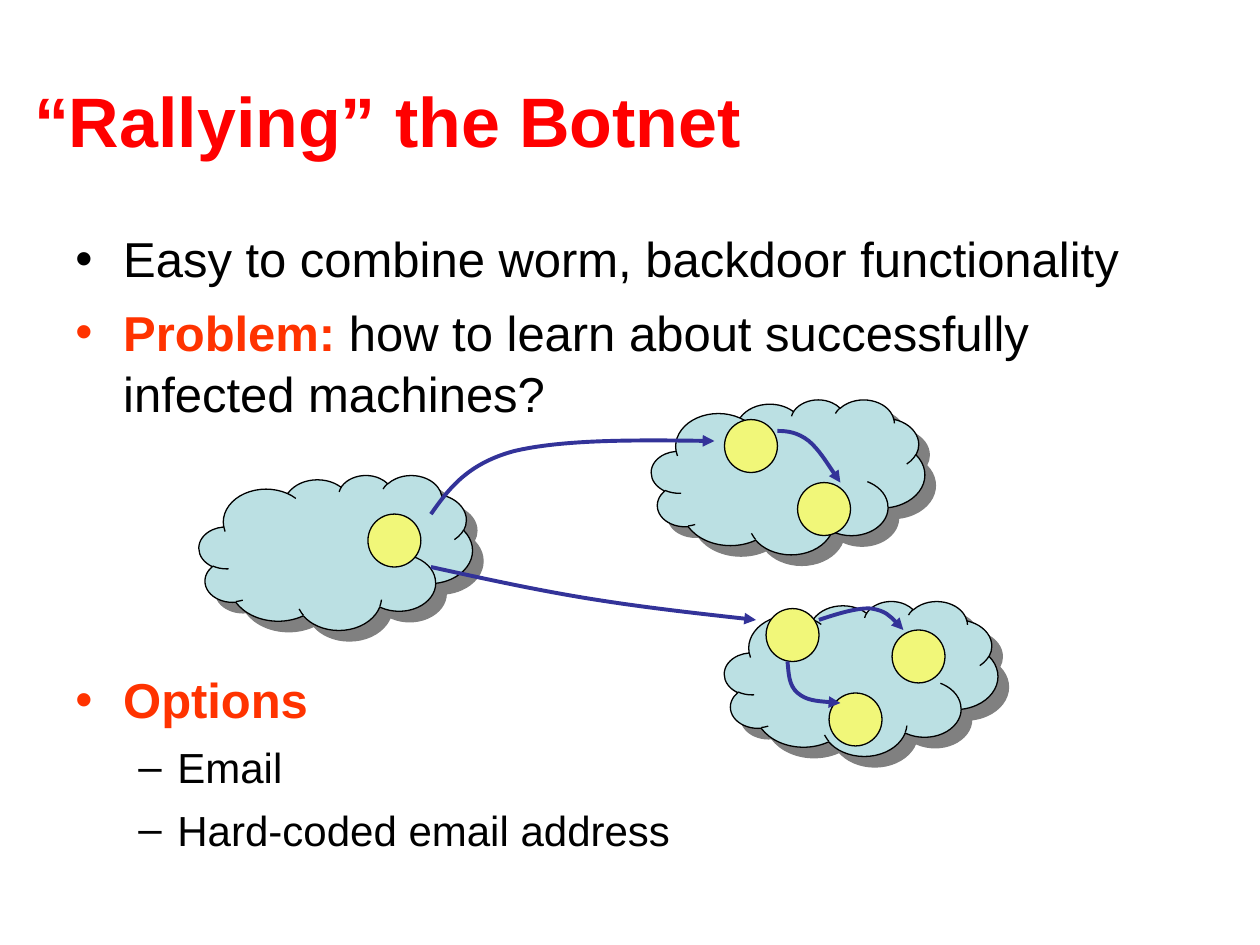
from lxml.etree import SubElement
from pptx import Presentation
from pptx.dml.color import RGBColor
from pptx.enum.shapes import MSO_SHAPE
from pptx.enum.text import MSO_ANCHOR, PP_ALIGN
from pptx.oxml.ns import qn
from pptx.util import Inches, Pt

FONT = "Arial"
BLACK, RED, ORANGE = "000000", "FF0000", "FF3300"
CLOUD_BLUE, BOT_YELLOW, ARROW_BLUE, SHADOW_GRAY = "BBE0E3", "F1F779", "333399", "808080"

TITLE = "“Rallying” the Botnet"
# top of each text block, then its paragraphs: (level, [(text, colour, bold)])
TEXT_BLOCKS = [
    (1.75, [
        (0, [("Easy to combine worm, backdoor functionality", BLACK, False)]),
        (0, [("Problem:", ORANGE, True),
             (" how to learn about successfully infected machines?", BLACK, False)]),
    ]),
    (5.25, [
        (0, [("Options", ORANGE, True)]),
        (1, [("Email", BLACK, False)]),
        (1, [("Hard-coded email address", BLACK, False)]),
    ]),
]
# per level: bullet, size, left margin, hanging indent, space before
LEVELS = [("•", 28, 0.38, 0.38, 7), ("–", 24, 0.81, 0.31, 6)]

CLOUD_SIZE = (2.17, 1.23)
CLOUDS = [(1.58, 3.77), (5.17, 3.17), (5.75, 4.77)]
BOT_SIZE = (0.42, 0.42)
BOTS = [(2.92, 4.08), (5.75, 3.33), (6.33, 3.83), (6.08, 4.83), (6.58, 5.5), (7.08, 5)]
# start point, then three Bezier points for each curve segment
ARROWS = [
    [(3.42, 4.08), (3.56, 3.88), (3.71, 3.68), (4.08, 3.58), (4.46, 3.49), (5.06, 3.49), (5.67, 3.5)],
    [(6.17, 3.42), (6.25, 3.42), (6.33, 3.43), (6.42, 3.5), (6.5, 3.57), (6.58, 3.7), (6.67, 3.83)],
    [(3.42, 4.5), (3.83, 4.59), (4.24, 4.68), (4.67, 4.75), (5.1, 4.82), (5.55, 4.87), (6, 4.92)],
    [(6.5, 4.92), (6.65, 4.87), (6.81, 4.82), (6.92, 4.83), (7.03, 4.85), (7.1, 4.92), (7.17, 5)],
    [(6.25, 5.25), (6.26, 5.35), (6.26, 5.44), (6.33, 5.5), (6.4, 5.56), (6.53, 5.57), (6.67, 5.58)],
]


def rgb(color):
    return RGBColor.from_string(color)


def add_run(p, text, size, color, bold):
    r = p.add_run()
    r.text = text
    r.font.name, r.font.size, r.font.bold = FONT, Pt(size), bold
    r.font.color.rgb = rgb(color)


def add_bullet(p, char, color, margin, hanging):
    pPr = p._p.get_or_add_pPr()
    pPr.set("marL", str(Inches(margin)))
    pPr.set("indent", str(-Inches(hanging)))
    SubElement(SubElement(pPr, qn("a:buClr")), qn("a:srgbClr"), val=color)
    SubElement(pPr, qn("a:buFont"), typeface=FONT)
    SubElement(pPr, qn("a:buChar"), char=char)


def add_text_block(slide, top, paragraphs):
    tf = slide.shapes.add_textbox(Inches(0.5), Inches(top), Inches(9), Inches(1.67)).text_frame
    tf.word_wrap = True
    for i, (level, runs) in enumerate(paragraphs):
        char, size, margin, hanging, before = LEVELS[level]
        p = tf.paragraphs[0] if i == 0 else tf.add_paragraph()
        p.level = level
        p.line_spacing = 1.04
        p.space_before = Pt(before if i else 0)
        add_bullet(p, char, runs[0][1], margin, hanging)
        for text, color, bold in runs:
            add_run(p, text, size, color, bold)


def add_outlined(slide, preset, position, size, fill):
    sp = slide.shapes.add_shape(preset, *map(Inches, position + size))
    sp.shadow.inherit = False
    sp.fill.solid()
    sp.fill.fore_color.rgb = rgb(fill)
    sp.line.color.rgb = rgb(BLACK)
    sp.line.width = Pt(0.75)
    return sp


def add_drop_shadow(sp):
    effects = sp._element.spPr.find(qn("a:effectLst"))
    shadow = SubElement(effects, qn("a:outerShdw"), dist=str(Pt(8.5)),
                        dir="2700000", algn="ctr", rotWithShape="0")
    SubElement(shadow, qn("a:srgbClr"), val=SHADOW_GRAY)


def add_curved_arrow(slide, points):
    """Draw the control polygon, then turn each three of its lines into a Bezier curve."""
    scaled = [(Inches(x), Inches(y)) for x, y in points]
    builder = slide.shapes.build_freeform(*scaled[0])
    builder.add_line_segments(scaled[1:], close=False)
    sp = builder.convert_to_shape()
    outline = sp._element.spPr.find(".//" + qn("a:path"))
    lines = outline.findall(qn("a:lnTo"))
    for i in range(0, len(lines), 3):
        curve = SubElement(outline, qn("a:cubicBezTo"))
        for line in lines[i:i + 3]:
            curve.append(line[0])
            outline.remove(line)
    sp.shadow.inherit = False
    sp.fill.background()
    sp.line.color.rgb = rgb(ARROW_BLUE)
    sp.line.width = Pt(2.25)
    SubElement(sp.line._get_or_add_ln(), qn("a:tailEnd"), type="triangle")


def main():
    prs = Presentation()
    prs.slide_width, prs.slide_height = Inches(10), Inches(7.5)
    slide = prs.slides.add_slide(prs.slide_layouts[5])

    title = slide.shapes.title
    title.left, title.top, title.width, title.height = map(Inches, (0.17, 0.32, 9.58, 1.25))
    title.text_frame.vertical_anchor = MSO_ANCHOR.MIDDLE
    p = title.text_frame.paragraphs[0]
    p.alignment = PP_ALIGN.LEFT
    add_run(p, TITLE, 40, RED, True)

    for top, paragraphs in TEXT_BLOCKS:
        add_text_block(slide, top, paragraphs)
    for position in CLOUDS:
        add_drop_shadow(add_outlined(slide, MSO_SHAPE.CLOUD, position, CLOUD_SIZE, CLOUD_BLUE))
    for position in BOTS:
        add_outlined(slide, MSO_SHAPE.OVAL, position, BOT_SIZE, BOT_YELLOW)
    for points in ARROWS:
        add_curved_arrow(slide, points)

    prs.save("out.pptx")


if __name__ == "__main__":
    main()
